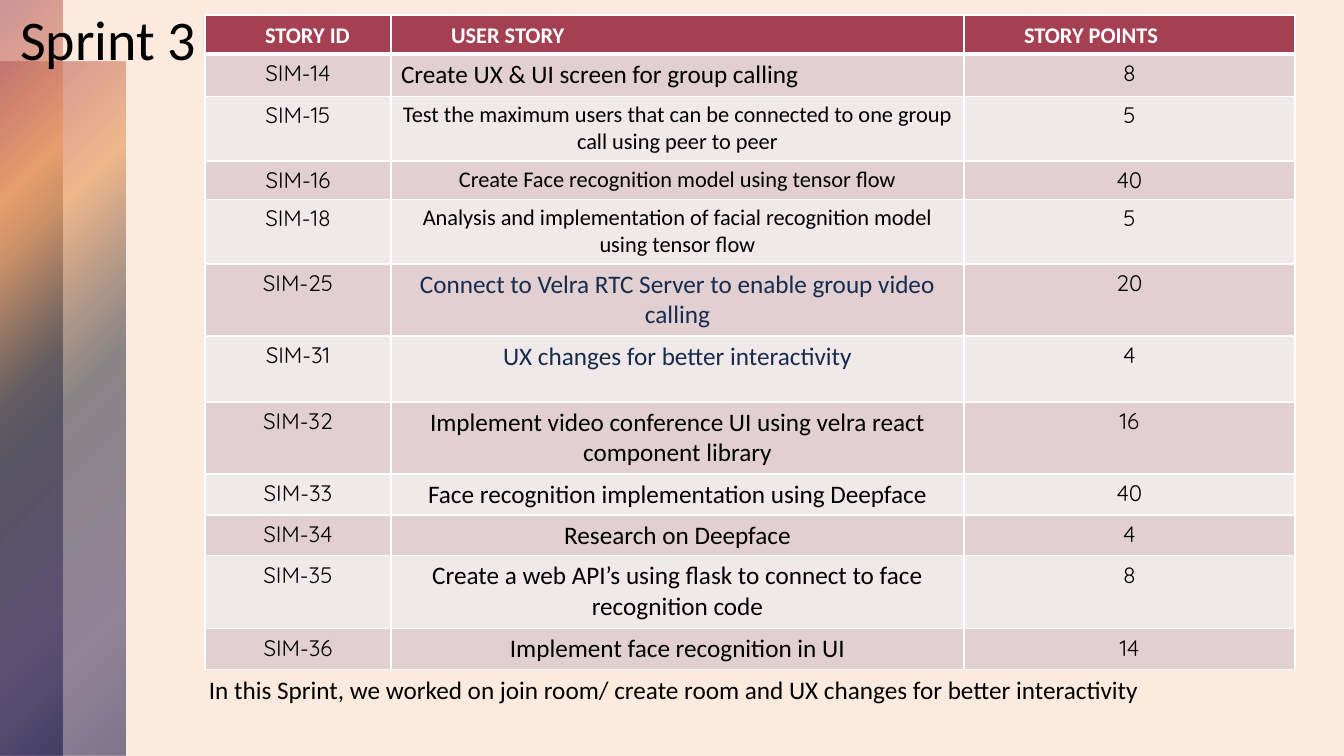
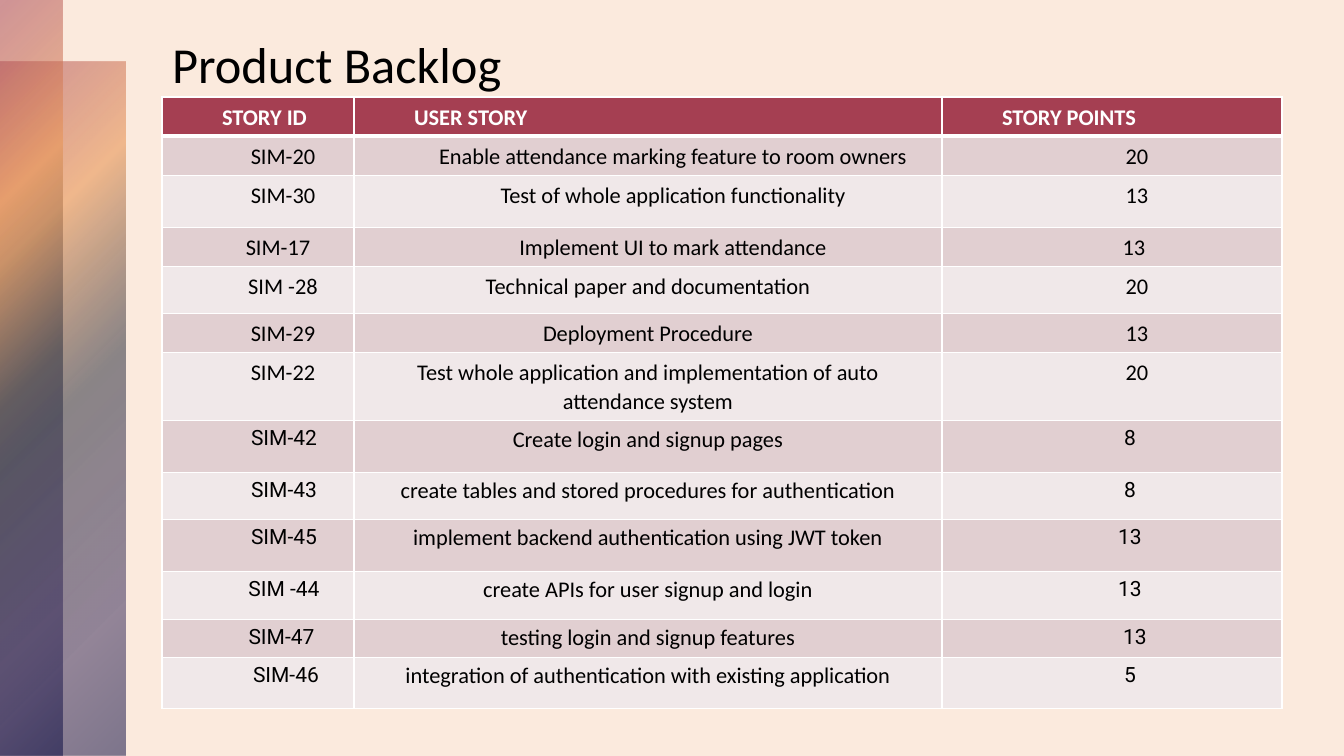
"""Two agile planning slides: a sprint table and the product backlog."""
from dataclasses import dataclass, replace
from typing import Any

import pptx
import pptx.dml.color
import pptx.enum.text
import pptx.enum.shapes
import pptx.oxml
import pptx.oxml.ns
import pptx.util

EMU_PER_PX = 914400 / 100.8
LEFT = pptx.enum.text.PP_ALIGN.LEFT
CENTER = pptx.enum.text.PP_ALIGN.CENTER


# Theme
@dataclass(frozen=True)
class Theme:
    paper: str = "FBEADD"
    header: str = "A53F52"
    odd_row: str = "E1CFD1"
    even_row: str = "F0E8E9"
    rule: str = "FFFFFF"
    ink: str = "000000"
    navy: str = "172B4D"
    text_font: str = "Calibri"
    sprint_font: str = "Quicksand"
    backlog_font: str = "Roboto"
    sprint_title: int = 40
    backlog_title: int = 36
    large: int = 18
    normal: int = 16
    small: int = 15
    # Position %, colour, opacity %
    gradient: tuple[tuple[int, str, int], ...] = (
        (0, "A53F52", 50), (25, "E99757", 60), (50, "2F3342", 55),
        (81, "2C2153", 50), (99, "01023B", 50))


THEME = Theme()


@dataclass(frozen=True)
class Box:
    left: int
    top: int
    width: int
    height: int

    def emu(self) -> tuple[int, ...]:
        return tuple(px(n) for n in (self.left, self.top, self.width, self.height))


@dataclass(frozen=True)
class TextFormat:
    size: int = THEME.normal
    font: str = THEME.text_font
    color: str = THEME.ink
    bold: bool = False
    align: Any = CENTER
    indent: int = 0
    line_spacing: float = 1.0
    space_after: int = 0


@dataclass(frozen=True)
class RowStyle:
    key: TextFormat
    story: TextFormat
    points: TextFormat


@dataclass(frozen=True)
class Story:
    key: str
    story: str
    points: int
    height: int
    style: RowStyle


@dataclass(frozen=True)
class StoryTable:
    left: int
    top: int
    columns: tuple[int, int, int]
    header_height: int
    stories: tuple[Story, ...]


# Text formats
HEADER = TextFormat(color=THEME.rule, bold=True, align=LEFT, indent=50,
                    line_spacing=1.06, space_after=8)
SPACED = TextFormat(line_spacing=1.06, space_after=8)
INDENTED = replace(SPACED, indent=50)
QUICKSAND = TextFormat(font=THEME.sprint_font)
LARGE = TextFormat(size=THEME.large)

SPRINT = RowStyle(QUICKSAND, LARGE, QUICKSAND)
SPRINT_LEFT = replace(SPRINT, story=replace(LARGE, align=LEFT))
SPRINT_NORMAL = replace(SPRINT, story=TextFormat())
SPRINT_NAVY = replace(SPRINT, story=replace(LARGE, color=THEME.navy))

PLANNED = RowStyle(INDENTED, SPACED, INDENTED)
PLANNED_INDENTED = replace(PLANNED, story=INDENTED)
PLANNED_MARKING = RowStyle(replace(SPACED, indent=40), INDENTED, replace(SPACED, indent=44))


def added(key_indent: int = 52, points_indent: int = 36) -> RowStyle:
    """Style of the later backlog rows, which differ in indents only."""
    roboto = TextFormat(size=THEME.small, font=THEME.backlog_font)
    return RowStyle(replace(roboto, indent=key_indent), TextFormat(),
                    replace(roboto, indent=points_indent))


# Content
HEADINGS = ("STORY ID", "USER STORY", "STORY POINTS")

SPRINT_TABLE = StoryTable(205, 15, (186, 573, 331), 38, (
    Story("SIM-14", "Create UX & UI screen for group calling", 8, 42, SPRINT_LEFT),
    Story("SIM-15", "Test the maximum users that can be connected to one group call "
          "using peer to peer", 5, 65, SPRINT_NORMAL),
    Story("SIM-16", "Create Face recognition model using tensor flow", 40, 38, SPRINT_NORMAL),
    Story("SIM-18", "Analysis and implementation of facial recognition model using "
          "tensor flow", 5, 64, SPRINT_NORMAL),
    Story("SIM-25", "Connect to Velra RTC Server to enable group video calling",
          20, 72, SPRINT_NAVY),
    Story("SIM-31", "UX changes for better interactivity", 4, 66, SPRINT_NAVY),
    Story("SIM-32", "Implement video conference UI using velra react component library",
          16, 72, SPRINT),
    Story("SIM-33", "Face recognition implementation using Deepface", 40, 41, SPRINT),
    Story("SIM-34", "Research on Deepface", 4, 40, SPRINT),
    Story("SIM-35", "Create a web API’s using flask to connect to face recognition code",
          8, 73, SPRINT),
    Story("SIM-36", "Implement face recognition in UI", 14, 41, SPRINT),
))
SPRINT_SUMMARY = ("In this Sprint, we worked on join room/ create room and UX changes "
                  "for better interactivity")

BACKLOG_TABLE = StoryTable(162, 97, (192, 588, 340), 39, (
    Story("SIM-20", "Enable attendance marking feature to room owners", 20, 39,
          PLANNED_INDENTED),
    Story("SIM-30", "Test of whole application functionality", 13, 52, PLANNED_INDENTED),
    Story("SIM-17", "Implement UI to mark attendance", 13, 39, PLANNED_MARKING),
    Story("SIM -28", "Technical paper and documentation", 20, 47, PLANNED),
    Story("SIM-29", "Deployment Procedure", 13, 39, PLANNED),
    Story("SIM-22", "Test whole application and implementation of auto attendance system",
          20, 66, PLANNED),
    Story("SIM-42", "Create login and signup pages", 8, 52, added()),
    Story("SIM-43", "create tables and stored procedures for authentication", 8, 47, added()),
    Story("SIM-45", "implement backend authentication using JWT token", 13, 52, added()),
    Story("SIM -44", "create APIs for user signup and login", 13, 48, added()),
    Story("SIM-47", "testing login and signup features", 13, 38, added(47, 46)),
    Story("SIM-46", "integration of authentication with existing application", 5, 51,
          added(56)),
))


# Helpers
def px(length: int) -> int:
    return round(length * EMU_PER_PX)


def rgb(color: str) -> pptx.dml.color.RGBColor:
    return pptx.dml.color.RGBColor.from_string(color)


def set_all(target: Any, values: dict[str, Any]) -> None:
    for name, value in values.items():
        setattr(target, name, value)


def write(frame: Any, text: str, style: TextFormat) -> None:
    paragraph = frame.paragraphs[0]
    run = paragraph.add_run()
    run.text = text
    set_all(paragraph, {"alignment": style.align, "line_spacing": style.line_spacing,
                        "space_after": pptx.util.Pt(style.space_after)})
    if style.indent:
        set_all_xml = {"marL": 0, "indent": px(style.indent)}
        for name, value in set_all_xml.items():
            paragraph._p.get_or_add_pPr().set(name, str(value))
    set_all(run.font, {"name": style.font, "size": pptx.util.Pt(style.size),
                       "bold": style.bold})
    run.font.color.rgb = rgb(style.color)


def place_text(shape: Any, box: Box, text: str, style: TextFormat) -> None:
    set_all(shape, dict(zip(("left", "top", "width", "height"), box.emu())))
    set_all(shape.text_frame, {"word_wrap": True,
                               "auto_size": pptx.enum.text.MSO_AUTO_SIZE.NONE,
                               "vertical_anchor": pptx.enum.text.MSO_ANCHOR.TOP})
    write(shape.text_frame, text, style)


# Shared background
def add_band(slide: Any, layout: Any, position: int, box: Box) -> None:
    """Draw a gradient band and move it to the layout behind its placeholders."""
    band = slide.shapes.add_shape(pptx.enum.shapes.MSO_SHAPE.RECTANGLE, *box.emu())
    band.shadow.inherit = False
    band.line.fill.background()
    stops = "".join(
        f'<a:gs pos="{at * 1000}"><a:srgbClr val="{color}">'
        f'<a:alpha val="{opacity * 1000}"/></a:srgbClr></a:gs>'
        for at, color, opacity in THEME.gradient)
    gradient = pptx.oxml.parse_xml(
        f'<a:gradFill {pptx.oxml.ns.nsdecls("a")} rotWithShape="1">'
        f'<a:gsLst>{stops}</a:gsLst><a:path path="circle">'
        '<a:fillToRect r="100000" b="100000"/></a:path></a:gradFill>')
    band.element.spPr.find(pptx.oxml.ns.qn("a:prstGeom")).addnext(gradient)
    layout.shapes.element.insert(2 + position, band.element)


def style_layout(slide: Any, layout: Any) -> None:
    layout.background.fill.solid()
    layout.background.fill.fore_color.rgb = rgb(THEME.paper)
    for position, box in enumerate((Box(0, 62, 126, 694), Box(0, 0, 63, 756))):
        add_band(slide, layout, position, box)


# Tables
def fill_cell(cell: Any, text: str, style: TextFormat, fill: str, is_header: bool) -> None:
    cell.fill.solid()
    cell.fill.fore_color.rgb = rgb(fill)
    write(cell.text_frame, text, style)
    widths = {"lnL": 1, "lnR": 1, "lnT": 1, "lnB": 3} if is_header else {
        "lnL": 1, "lnR": 1, "lnB": 1}
    for position, (side, width) in enumerate(widths.items()):
        border = pptx.oxml.parse_xml(
            f'<a:{side} {pptx.oxml.ns.nsdecls("a")} w="{pptx.util.Pt(width)}"><a:solidFill>'
            f'<a:srgbClr val="{THEME.rule}"/></a:solidFill></a:{side}>')
        cell._tc.get_or_add_tcPr().insert(position, border)


def add_story_table(slide: Any, plan: StoryTable) -> None:
    heights = [plan.header_height, *(story.height for story in plan.stories)]
    box = Box(plan.left, plan.top, sum(plan.columns), sum(heights))
    table = slide.shapes.add_table(len(heights), len(plan.columns), *box.emu()).table
    table.horz_banding = False
    for column, width in zip(table.columns, plan.columns):
        column.width = px(width)
    for row, height in zip(table.rows, heights):
        row.height = px(height)
    for cell, heading in zip(table.rows[0].cells, HEADINGS):
        fill_cell(cell, heading, HEADER, THEME.header, True)
    for number, story in enumerate(plan.stories, start=1):
        fill = THEME.odd_row if number % 2 else THEME.even_row
        for cell, field in zip(table.rows[number].cells, ("key", "story", "points")):
            fill_cell(cell, str(getattr(story, field)), getattr(story.style, field),
                      fill, False)


def add_story_slide(deck: Any, layout: Any, title: str, title_box: Box, title_size: int,
                    plan: StoryTable) -> Any:
    slide = deck.slides.add_slide(layout)
    place_text(slide.shapes.title, title_box, title, TextFormat(size=title_size, align=LEFT))
    add_story_table(slide, plan)
    return slide


def main() -> None:
    deck = pptx.Presentation()
    set_all(deck, {"slide_width": px(1344), "slide_height": px(756)})
    layout = deck.slide_layouts.get_by_name("Title Only")

    # Sprint slide
    sprint = add_story_slide(deck, layout, "Sprint 3", Box(10, -1, 230, 78),
                             THEME.sprint_title, SPRINT_TABLE)
    style_layout(sprint, layout)
    summary_box = Box(199, 669, 1102, 72)
    summary = sprint.shapes.add_textbox(*summary_box.emu())
    place_text(summary, summary_box, SPRINT_SUMMARY, replace(LARGE, align=LEFT))

    # Backlog slide
    add_story_slide(deck, layout, "Product Backlog", Box(162, 28, 420, 72),
                    THEME.backlog_title, BACKLOG_TABLE)
    deck.save("out.pptx")


if __name__ == "__main__":
    main()
